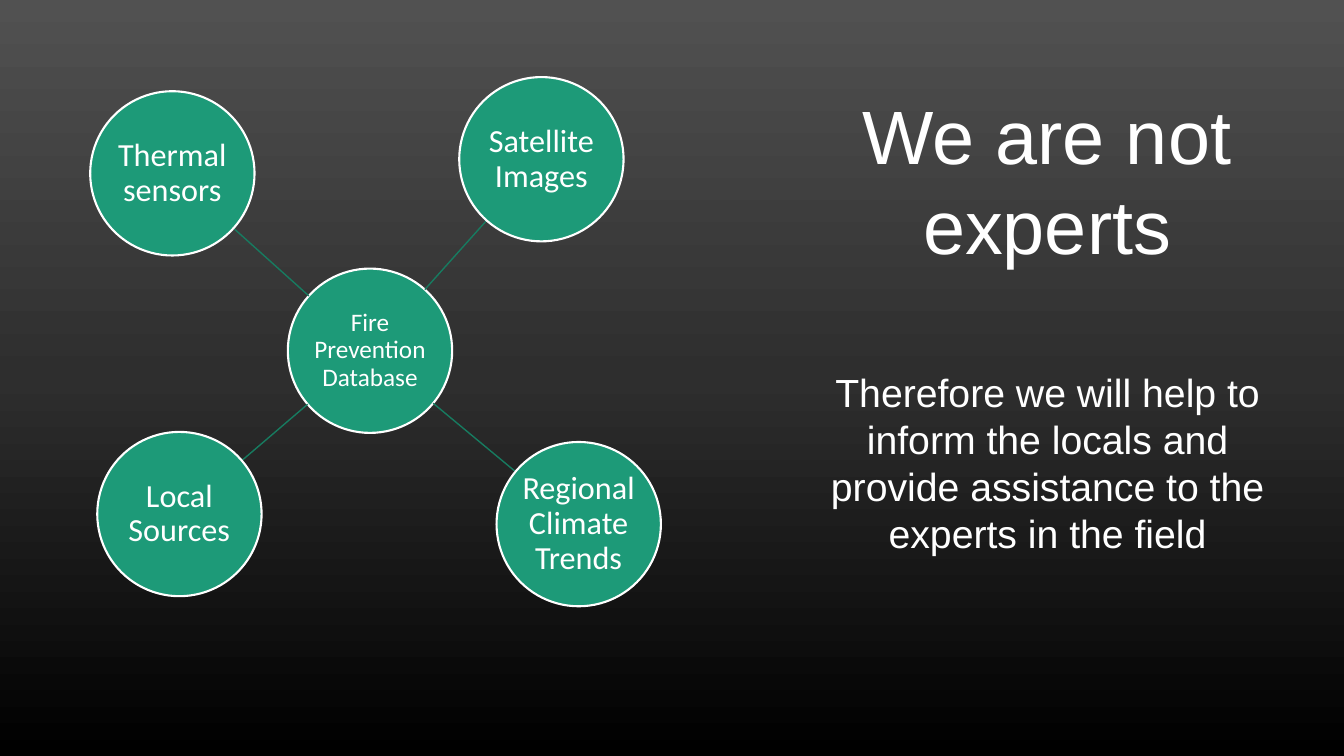
"""Build a slide with a hub of data sources beside a short statement."""
from copy import deepcopy
from math import hypot

from pptx import Presentation
from pptx.dml.color import RGBColor
from pptx.enum.shapes import MSO_CONNECTOR, MSO_SHAPE
from pptx.enum.text import MSO_ANCHOR, MSO_AUTO_SIZE, PP_ALIGN
from pptx.oxml.ns import qn
from pptx.oxml.xmlchemy import OxmlElement
from pptx.util import Inches, Pt

HUB = ("Fire Prevention Database", 3.67, 3.48, 18)
SOURCES = [
    ("Satellite Images", 5.37, 1.58, 23),
    ("Regional Climate Trends", 5.74, 5.2, 23),
    ("Thermal sensors", 1.71, 1.72, 23),
    ("Local Sources", 1.78, 5.1, 23),
]
STATEMENTS = [
    ("We are not experts", 7.75, 0.83, 5.27, 1.92, 54),
    ("Therefore we will help to inform the locals and provide assistance "
     "to the experts in the field", 7.91, 3.6, 4.96, 1.99, 28),
]
DIAMETER = 1.63
WHITE = RGBColor(0xFF, 0xFF, 0xFF)
GREEN = RGBColor(0x1D, 0x9A, 0x78)
DARK_GREEN = RGBColor(0x17, 0x7B, 0x60)
BACKGROUND = [
    (0, RGBColor(0x51, 0x51, 0x51)),
    (0.5, RGBColor(0x2E, 0x2E, 0x2E)),
    (1, RGBColor(0x00, 0x00, 0x00)),
]
OVAL = MSO_SHAPE.OVAL
STRAIGHT = MSO_CONNECTOR.STRAIGHT
MIDDLE = MSO_ANCHOR.MIDDLE
CENTER = PP_ALIGN.CENTER
FIT_SHAPE = MSO_AUTO_SIZE.SHAPE_TO_FIT_TEXT


def set_background(s):
    fill = s.background.fill
    fill.gradient()
    fill.gradient_angle = 270
    stops = s.element.find(".//" + qn("a:gsLst"))
    stops.append(deepcopy(stops[0]))
    for stop, (position, color) in zip(fill.gradient_stops, BACKGROUND):
        stop.position = position
        stop.color.rgb = color


def write(tf, text, font, size):
    tf.word_wrap = True
    p = tf.paragraphs[0]
    p.text = text
    p.alignment = CENTER
    p.font.name = font
    p.font.size = Pt(size)
    p.font.color.rgb = WHITE
    return p


def add_circle(s, text, x, y, size):
    left, top = x - DIAMETER / 2, y - DIAMETER / 2
    sp = s.shapes.add_shape(OVAL, Inches(left), Inches(top),
                            Inches(DIAMETER), Inches(DIAMETER))
    sp.shadow.inherit = False
    sp.fill.solid()
    sp.fill.fore_color.rgb = GREEN
    sp.line.color.rgb = WHITE
    sp.line.width = Pt(1.5)
    tf = sp.text_frame
    tf.vertical_anchor = MIDDLE
    tf.margin_left = tf.margin_right = 0
    tf.margin_top = tf.margin_bottom = 0
    write(tf, text, "Calibri", size).line_spacing = 0.9


def add_spoke(s, x1, y1, x2, y2):
    share = DIAMETER / 2 / hypot(x2 - x1, y2 - y1)
    dx, dy = (x2 - x1) * share, (y2 - y1) * share
    line = s.shapes.add_connector(STRAIGHT, Inches(x1 + dx), Inches(y1 + dy),
                                  Inches(x2 - dx), Inches(y2 - dy))
    line.line.color.rgb = DARK_GREEN
    line.line.width = Pt(1)
    line.element.spPr.append(OxmlElement("a:effectLst"))


def main():
    prs = Presentation()
    prs.slide_width, prs.slide_height = Inches(13.33), Inches(7.5)
    s = prs.slides.add_slide(prs.slide_layouts[6])
    set_background(s)
    add_circle(s, *HUB)
    for source in SOURCES:
        add_spoke(s, *HUB[1:3], *source[1:3])
        add_circle(s, *source)
    for text, x, y, w, h, size in STATEMENTS:
        box = s.shapes.add_textbox(Inches(x), Inches(y), Inches(w), Inches(h))
        write(box.text_frame, text, "Arial", size)
        box.text_frame.auto_size = FIT_SHAPE
    prs.save("out.pptx")


if __name__ == "__main__":
    main()
